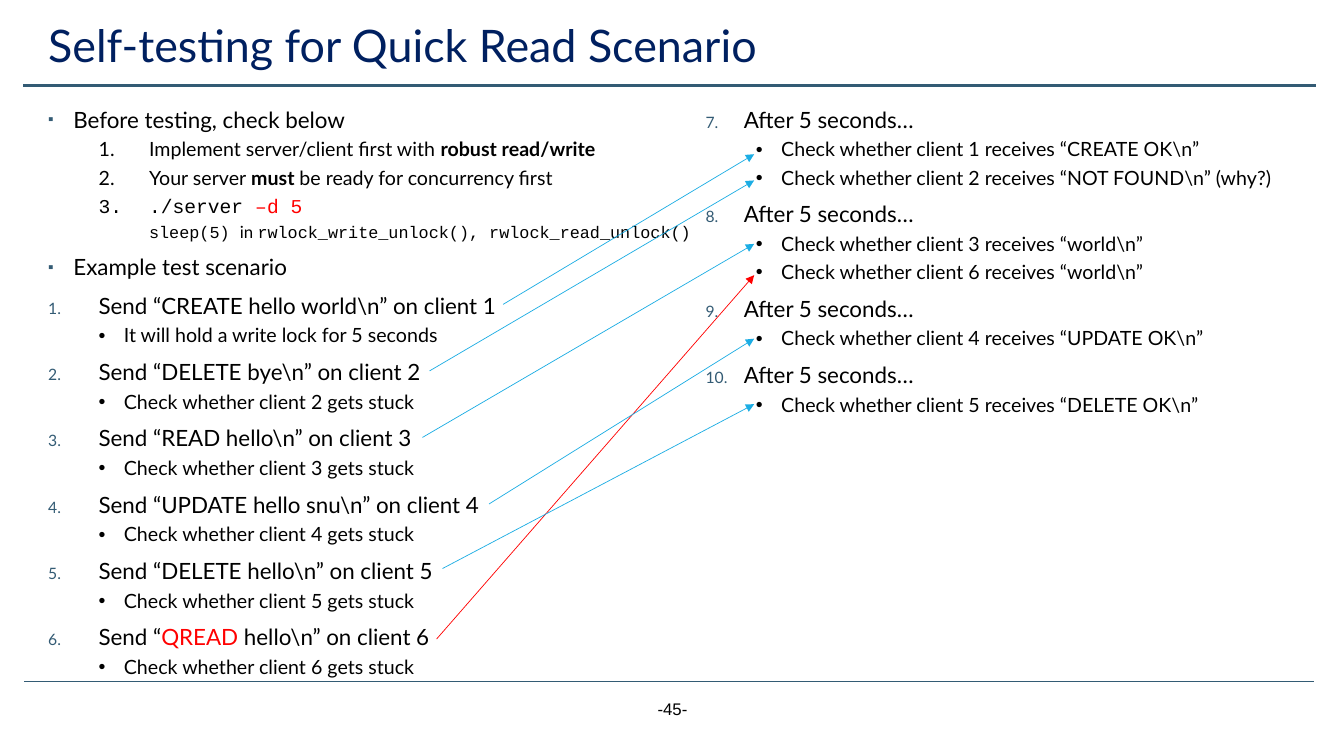
"""Build the self-testing slide for the quick read scenario."""
from dataclasses import dataclass

from pptx import Presentation
from pptx.dml.color import RGBColor
from pptx.enum.shapes import MSO_CONNECTOR
from pptx.enum.text import PP_ALIGN
from pptx.oxml.ns import qn
from pptx.util import Inches, Pt
from lxml.etree import SubElement


@dataclass(frozen=True)
class Theme:
    """Colours, fonts and type sizes of the slide."""
    title: str = "002060"
    text: str = "000000"
    rule: str = "335B74"
    arrow: str = "1CADE4"
    alert: str = "FF0000"
    sans: str = "Lato"
    mono: str = "Courier New"
    plain: str = "Arial"
    title_size: int = 32
    head_size: int = 16
    item_size: int = 14
    small_size: int = 12


@dataclass(frozen=True)
class ListStyle:
    """Indents, spacing, size and marker of one kind of paragraph."""
    level: int = 0
    margin: float = 0
    hanging: float = 0
    size: int = Theme.head_size
    before: int = 0
    bullet: str = ""
    number_from: int = 0
    tinted: bool = False


TOPIC = ListStyle(0, 0.25, 0.25, Theme.head_size, 10, bullet="▪", tinted=True)
CHECK = ListStyle(1, 1, 0.5, Theme.item_size, 5, number_from=1)
DETAIL = ListStyle(2, 1, 0, Theme.small_size, 5)
STEP = ListStyle(0, 0.5, 0.5, Theme.head_size, 10, number_from=1, tinted=True)
NOTE = ListStyle(1, 0.75, 0.25, Theme.item_size, 5, bullet="•")
WAIT = ListStyle(0, 0.38, 0.38, Theme.head_size, 10, number_from=7, tinted=True)
TITLE = ListStyle(size=Theme.title_size)

BOLD = {"bold": True}
MONO = {"font": Theme.mono}
RED = {"color": Theme.alert}


class SlideBuilder:
    """Draw styled elements on the current slide."""

    def __init__(self, slide, theme):
        self.slide = slide
        self.theme = theme

    def line(self, start, end, color, width, arrow=False):
        points = [Inches(value) for value in (*start, *end)]
        connector = self.slide.shapes.add_connector(MSO_CONNECTOR.STRAIGHT, *points)
        connector.line.color.rgb = RGBColor.from_string(color)
        connector.line.width = Pt(width)
        if arrow:
            SubElement(connector.line._get_or_add_ln(), qn("a:tailEnd"), type="triangle")
        SubElement(connector._element.spPr, qn("a:effectLst"))

    def mark(self, paragraph, style):
        properties = paragraph._p.get_or_add_pPr()
        properties.set("marL", str(Inches(style.margin)))
        properties.set("indent", str(-Inches(style.hanging)))
        if style.tinted:
            tint = SubElement(properties, qn("a:buClr"))
            SubElement(tint, qn("a:srgbClr"), val=self.theme.rule)
            SubElement(properties, qn("a:buSzPct"), val="70000")
        if style.bullet:
            SubElement(properties, qn("a:buFont"), typeface=self.theme.plain)
            SubElement(properties, qn("a:buChar"), char=style.bullet)
        elif style.number_from:
            SubElement(properties, qn("a:buAutoNum"), type="arabicPeriod",
                       startAt=str(style.number_from))
        else:
            SubElement(properties, qn("a:buNone"))

    def span(self, paragraph, text, size, color=None, font=None, bold=False):
        span = paragraph.add_run()
        span.text = text
        span.font.size = Pt(size)
        span.font.name = font or self.theme.sans
        span.font.bold = bold
        span.font.color.rgb = RGBColor.from_string(color or self.theme.text)

    def text(self, place, paragraphs, align=PP_ALIGN.LEFT):
        box = self.slide.shapes.add_textbox(*[Inches(value) for value in place])
        frame = box.text_frame
        frame.word_wrap = True
        for index, (style, *spans) in enumerate(paragraphs):
            para = frame.add_paragraph() if index else frame.paragraphs[0]
            para.level = style.level
            para.alignment = align
            para.line_spacing = 0.9
            para.space_before = Pt(style.before if index else 0)
            self.mark(para, style)
            for content, look in spans:
                self.span(para, content, style.size, **look)


def left_column():
    paragraphs = [
        (TOPIC, ("Before testing, check below", {})),
        (CHECK, ("Implement server/client first with ", {}), ("robust read/write", BOLD)),
        (CHECK, ("Your server ", {}), ("must ", BOLD),
         ("be ready for concurrency first", {})),
        (CHECK, ("./server ", MONO), ("–d 5", {**MONO, **RED})),
        (DETAIL, ("sleep(5) ", MONO), ("in ", {}),
         ("rwlock_write_unlock(), rwlock_read_unlock()", MONO)),
        (TOPIC, ("Example test scenario", {})),
    ]
    requests = [("CREATE", "hello world"), ("DELETE", "bye"), ("READ", "hello"),
                ("UPDATE", "hello snu"), ("DELETE", "hello"), ("QREAD", "hello")]
    for client, (command, key) in enumerate(requests, 1):
        look = RED if command == "QREAD" else {}
        note = (f"Check whether client {client} gets stuck" if client > 1
                else "It will hold a write lock for 5 seconds")
        paragraphs.append((STEP, ("Send “", {}), (command, look),
                           (rf" {key}\n” on client {client}", {})))
        paragraphs.append((NOTE, (note, {})))
    return paragraphs


def right_column():
    rounds = [
        [(1, r"“CREATE OK\n”"), (2, r"“NOT FOUND\n” (why?)")],
        [(3, r"“world\n”"), (6, r"“world\n”")],
        [(4, r"“UPDATE OK\n”")],
        [(5, r"“DELETE OK\n”")],
    ]
    paragraphs = []
    for replies in rounds:
        paragraphs.append((WAIT, ("After 5 seconds…", {})))
        for client, reply in replies:
            paragraphs.append((NOTE, (f"Check whether client {client} receives {reply}", {})))
    return paragraphs


def main():
    deck = Presentation()
    deck.slide_width, deck.slide_height = Inches(13.33), Inches(7.5)
    theme = Theme()
    page = SlideBuilder(deck.slides.add_slide(deck.slide_layouts[6]), theme)

    page.line((0.24, 6.76), (13.03, 6.76), theme.rule, 0.5)
    page.line((0.23, 0.85), (13.05, 0.85), theme.rule, 1.75)
    page.text((5.17, 6.91, 3, 0.4),
              [(ListStyle(size=theme.small_size), ("-45-", {"font": theme.plain}))],
              PP_ALIGN.CENTER)
    page.text((0.38, 0.19, 12.43, 0.63),
              [(TITLE, ("Self-testing for Quick Read Scenario", {"color": theme.title}))])
    page.text((0.38, 1.03, 12.71, 5.62), left_column())
    page.text((6.9, 1.03, 6.3, 5.62), right_column())

    reply_arrows = [
        ((4.19, 4.34), 2.42, theme.arrow),
        ((4.33, 6.34), 2.73, theme.alert),
        ((4.85, 5), 3.36, theme.arrow),
        ((4.39, 5.64), 4.01, theme.arrow),
        ((4.26, 3.68), 1.79, theme.arrow),
        ((4.99, 3.02), 1.53, theme.arrow),
    ]
    for request, reply_top, color in reply_arrows:
        page.line(request, (7.48, reply_top), color, 0.5, arrow=True)
    deck.save("out.pptx")


if __name__ == "__main__":
    main()
